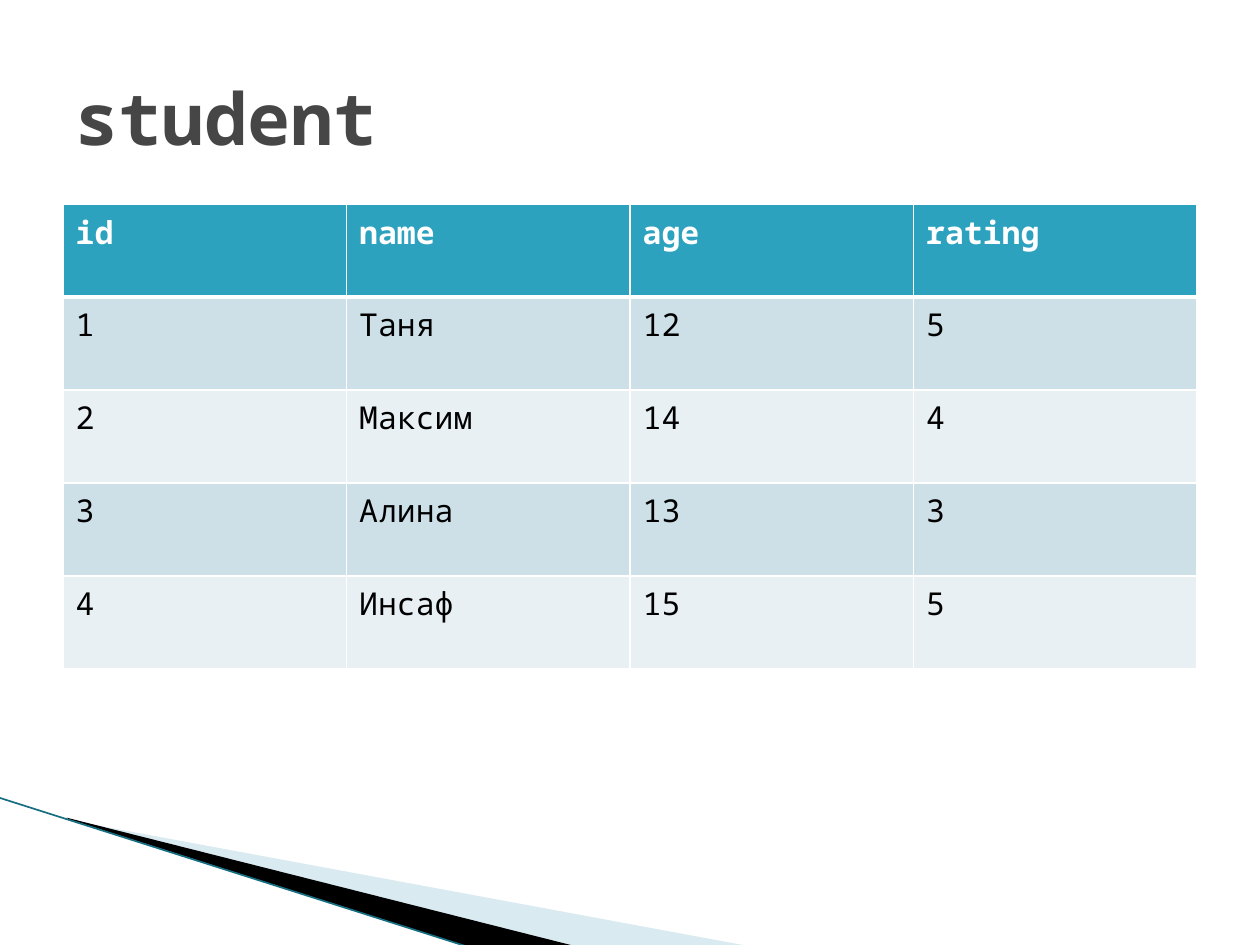
from lxml import etree
from pptx import Presentation
from pptx.dml.color import RGBColor
from pptx.enum.text import MSO_ANCHOR
from pptx.enum.shapes import MSO_CONNECTOR
from pptx.oxml import parse_xml
from pptx.oxml.ns import nsdecls, qn
from pptx.util import Inches, Pt

MIDDLE = MSO_ANCHOR.MIDDLE
STRAIGHT = MSO_CONNECTOR.STRAIGHT
FONT = "Noto Sans Mono"
WHITE = RGBColor(0xFF, 0xFF, 0xFF)
BLACK = RGBColor(0x00, 0x00, 0x00)
GRAY = RGBColor(0x46, 0x46, 0x46)
TEAL = RGBColor(0x2D, 0xA2, 0xBF)
DARK_TEAL = RGBColor(0x16, 0x6E, 0x82)
PALE_BLUE = RGBColor(0xA0, 0xCB, 0xDC)
BANDS = [RGBColor(0xCD, 0xE0, 0xE8), RGBColor(0xE8, 0xF0, 0xF4)]


def add_text(frame, text, size, color, bold):
    run = frame.paragraphs[0].add_run()
    run.text = text
    run.font.name = FONT
    run.font.size = Pt(size)
    run.font.bold = bold
    run.font.color.rgb = color


def set_borders(cell, widths):
    properties = cell._tc.get_or_add_tcPr()
    for index, (side, width) in enumerate(widths.items()):
        properties.insert(index, parse_xml(
            f'<a:ln{side} {nsdecls("a")} w="{Pt(width)}"><a:solidFill>'
            f'<a:srgbClr val="{WHITE}"/></a:solidFill></a:ln{side}>'))


presentation = Presentation()
presentation.slide_width = Inches(10)
presentation.slide_height = Inches(7.5)
slide = presentation.slides.add_slide(presentation.slide_layouts[6])

# Corner wedges, whose outlines reach beyond their frames
wedges = [
    (PALE_BLUE, 40, (0.78, 5.47, 4.16, 1.58),
     [(0.55, 6.51), (5.95, 7.51), (4.56, 7.51), (0.55, 6.5)]),
    (BLACK, 100, (-0.06, 6.33, 4.16, 0.92),
     [(0.53, 6.49), (4.57, 7.51), (3.74, 7.52), (0.54, 6.5)]),
]
for color, opacity, frame, corners in wedges:
    points = [(Inches(x), Inches(y)) for x, y in corners]
    builder = slide.shapes.build_freeform(*points[0])
    builder.add_line_segments(points[1:], close=True)
    wedge = builder.convert_to_shape()
    wedge.shadow.inherit = False
    wedge.line.fill.background()
    wedge.fill.solid()
    wedge.fill.fore_color.rgb = color
    if opacity < 100:
        color_element = wedge._element.spPr.find(".//" + qn("a:srgbClr"))
        etree.SubElement(color_element, qn("a:alpha"), val=str(opacity * 1000))

    left, top, width, height = [Inches(value) for value in frame]
    wedge.left, wedge.top, wedge.width, wedge.height = left, top, width, height
    outline = wedge._element.spPr.find(".//" + qn("a:path"))
    outline.set("w", str(width))
    outline.set("h", str(height))
    for vertex, (x, y) in zip(outline.iter(qn("a:pt")), points):
        vertex.set("x", str(x - left))
        vertex.set("y", str(y - top))

# Corner edge line
edge = slide.shapes.add_connector(
    STRAIGHT, Inches(-0.01), Inches(6.33), Inches(3.73), Inches(7.52))
edge.line.color.rgb = DARK_TEAL
edge.line.width = Pt(0.95)
etree.SubElement(edge._element.spPr, qn("a:effectLst"))

# Student table
rows = [
    ("id", "name", "age", "rating"),
    ("1", "Таня", "12", "5"),
    ("2", "Максим", "14", "4"),
    ("3", "Алина", "13", "3"),
    ("4", "Инсаф", "15", "5"),
]
table = slide.shapes.add_table(
    len(rows), len(rows[0]), Inches(0.5), Inches(1.62), Inches(9), Inches(3.69)).table
for row_index, values in enumerate(rows):
    header = row_index == 0
    for column_index, value in enumerate(values):
        cell = table.cell(row_index, column_index)
        cell.fill.solid()
        cell.fill.fore_color.rgb = TEAL if header else BANDS[(row_index - 1) % 2]
        add_text(cell.text_frame, value, 18, WHITE if header else BLACK, header)
        set_borders(cell, {"L": 1, "R": 1, "T": 3 if row_index == 1 else 1,
                           "B": 3 if header else 1})

# Title
title = slide.shapes.add_textbox(Inches(0.5), Inches(0.3), Inches(9), Inches(1.25))
title.text_frame.word_wrap = True
title.text_frame.vertical_anchor = MIDDLE
add_text(title.text_frame, "student", 41, GRAY, True)

presentation.save("out.pptx")
